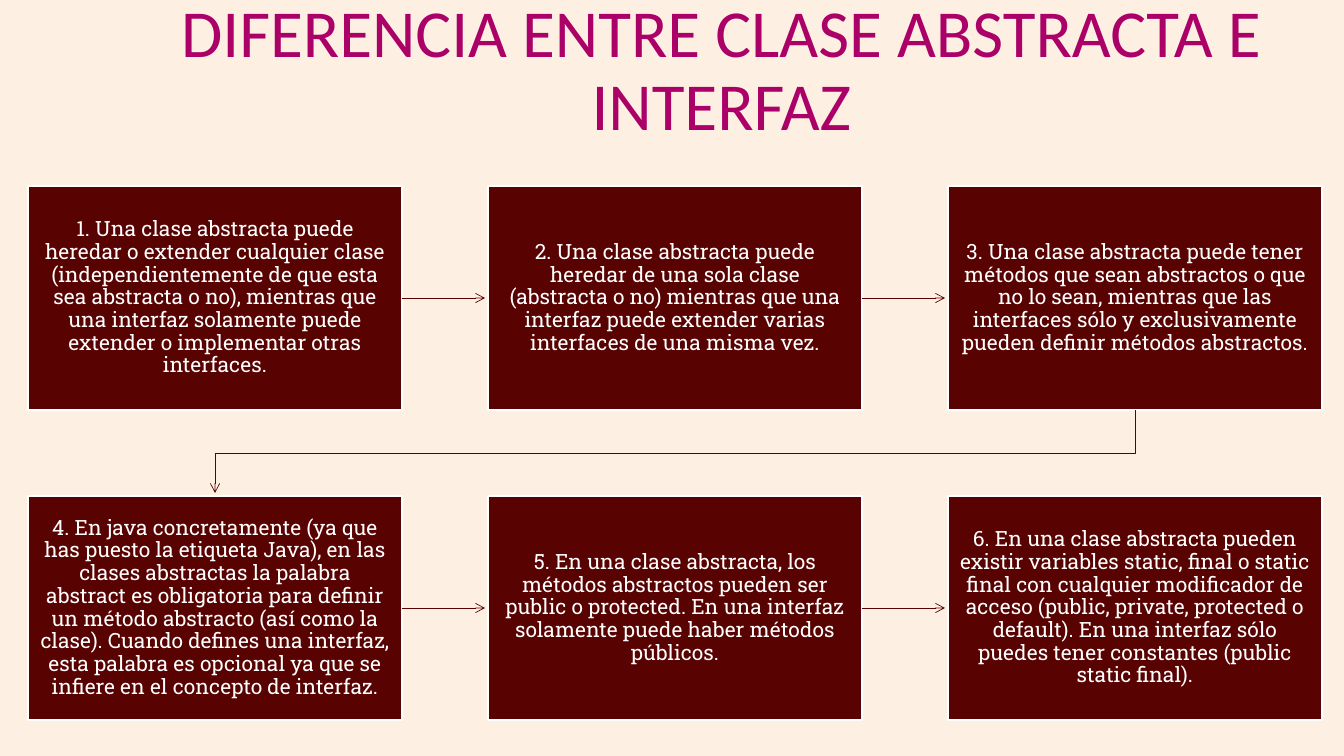
import pptx
import pptx.util
import pptx.dml.color
import pptx.enum.shapes
import pptx.enum.text
import pptx.oxml
import pptx.oxml.ns

# Content
TITLE = "DIFERENCIA ENTRE CLASE ABSTRACTA E INTERFAZ"
DIFFERENCES = [
    "1. Una clase abstracta puede heredar o extender cualquier clase "
    "(independientemente de que esta sea abstracta o no), mientras que una "
    "interfaz solamente puede extender o implementar otras interfaces.",
    "2. Una clase abstracta puede heredar de una sola clase (abstracta o no) "
    "mientras que una interfaz puede extender varias interfaces de una misma vez.",
    "3. Una clase abstracta puede tener métodos que sean abstractos o que no lo "
    "sean, mientras que las interfaces sólo y exclusivamente pueden definir "
    "métodos abstractos.",
    "4. En java concretamente (ya que has puesto la etiqueta Java), en las clases "
    "abstractas la palabra abstract es obligatoria para definir un método "
    "abstracto (así como la clase). Cuando defines una interfaz, esta palabra es "
    "opcional ya que se infiere en el concepto de interfaz.",
    "5. En una clase abstracta, los métodos abstractos pueden ser public o "
    "protected. En una interfaz solamente puede haber métodos públicos.",
    "6. En una clase abstracta pueden existir variables static, final o static "
    "final con cualquier modificador de acceso (public, private, protected o "
    "default). En una interfaz sólo puedes tener constantes (public static final).",
]

# Colours
CREAM = pptx.dml.color.RGBColor(0xFD, 0xF0, 0xE2)
MAROON = pptx.dml.color.RGBColor(0x58, 0x02, 0x01)
MAGENTA = pptx.dml.color.RGBColor(0xAB, 0x00, 0x68)
WHITE = pptx.dml.color.RGBColor(0xFF, 0xFF, 0xFF)

# Layout in pixels
SCALE = 914400 / 100.8
SLIDE_SIZE = (1344, 756)
TITLE_BOX = (84, 31, 1275, 83)
COLUMNS = 3
LEFT, TOP = 28, 186
BOX_WIDTH, BOX_HEIGHT = 374, 224
COLUMN_PITCH, ROW_PITCH = 460, 310
BOX_INSET = 12
ARROW_GAP = 3


def emu(*pixels):
    return [pptx.util.Emu(round(value * SCALE)) for value in pixels]


def write(shape, text, font_name, size, color):
    frame = shape.text_frame
    frame.word_wrap = True
    frame.vertical_anchor = pptx.enum.text.MSO_ANCHOR.MIDDLE
    paragraph = frame.paragraphs[0]
    paragraph.text = text
    paragraph.alignment = pptx.enum.text.PP_ALIGN.CENTER
    paragraph.line_spacing = 0.9
    paragraph.font.name = font_name
    paragraph.font.size = pptx.util.Pt(size)
    paragraph.font.color.rgb = color


def style_arrow(shape):
    shape.line.color.rgb = MAROON
    shape.line.width = pptx.util.Pt(0.5)
    properties = shape.element.spPr
    line = properties.find(pptx.oxml.ns.qn("a:ln"))
    namespace = pptx.oxml.ns.nsdecls("a")
    line.append(pptx.oxml.parse_xml(f'<a:tailEnd {namespace} type="arrow"/>'))
    properties.append(pptx.oxml.parse_xml(f"<a:effectLst {namespace}/>"))


presentation = pptx.Presentation()
presentation.slide_width, presentation.slide_height = emu(*SLIDE_SIZE)
slide = presentation.slides.add_slide(presentation.slide_layouts[6])
slide.background.fill.solid()
slide.background.fill.fore_color.rgb = CREAM

# Title
title = slide.shapes.add_textbox(*emu(*TITLE_BOX))
write(title, TITLE, "Calibri", 48, MAGENTA)

# Boxes, each followed by an arrow to the next
for index, text in enumerate(DIFFERENCES):
    row, column = divmod(index, COLUMNS)
    left = LEFT + column * COLUMN_PITCH
    top = TOP + row * ROW_PITCH
    box = slide.shapes.add_shape(
        pptx.enum.shapes.MSO_SHAPE.RECTANGLE, *emu(left, top, BOX_WIDTH, BOX_HEIGHT))
    box.shadow.inherit = False
    box.fill.solid()
    box.fill.fore_color.rgb = MAROON
    box.line.color.rgb = WHITE
    box.line.width = pptx.util.Pt(1)
    frame = box.text_frame
    (frame.margin_left, frame.margin_top,
     frame.margin_right, frame.margin_bottom) = emu(*[BOX_INSET] * 4)
    write(box, text, "Roboto Slab", 15, WHITE)

    if index == len(DIFFERENCES) - 1:
        continue
    if column < COLUMNS - 1:
        middle = top + BOX_HEIGHT / 2
        arrow = slide.shapes.add_connector(
            pptx.enum.shapes.MSO_CONNECTOR.STRAIGHT,
            *emu(left + BOX_WIDTH, middle, left + COLUMN_PITCH - ARROW_GAP, middle))
    else:
        # Bent arrow to the start of the next row
        start_x, end_x = left + BOX_WIDTH // 2, LEFT + BOX_WIDTH // 2
        bottom, next_top = top + BOX_HEIGHT, top + ROW_PITCH
        turn = (bottom + next_top) // 2
        builder = slide.shapes.build_freeform(start_x, bottom, scale=SCALE)
        builder.add_line_segments(
            [(start_x, turn), (end_x, turn), (end_x, next_top - ARROW_GAP)], close=False)
        arrow = builder.convert_to_shape()
        arrow.fill.background()
    style_arrow(arrow)

presentation.save("out.pptx")
